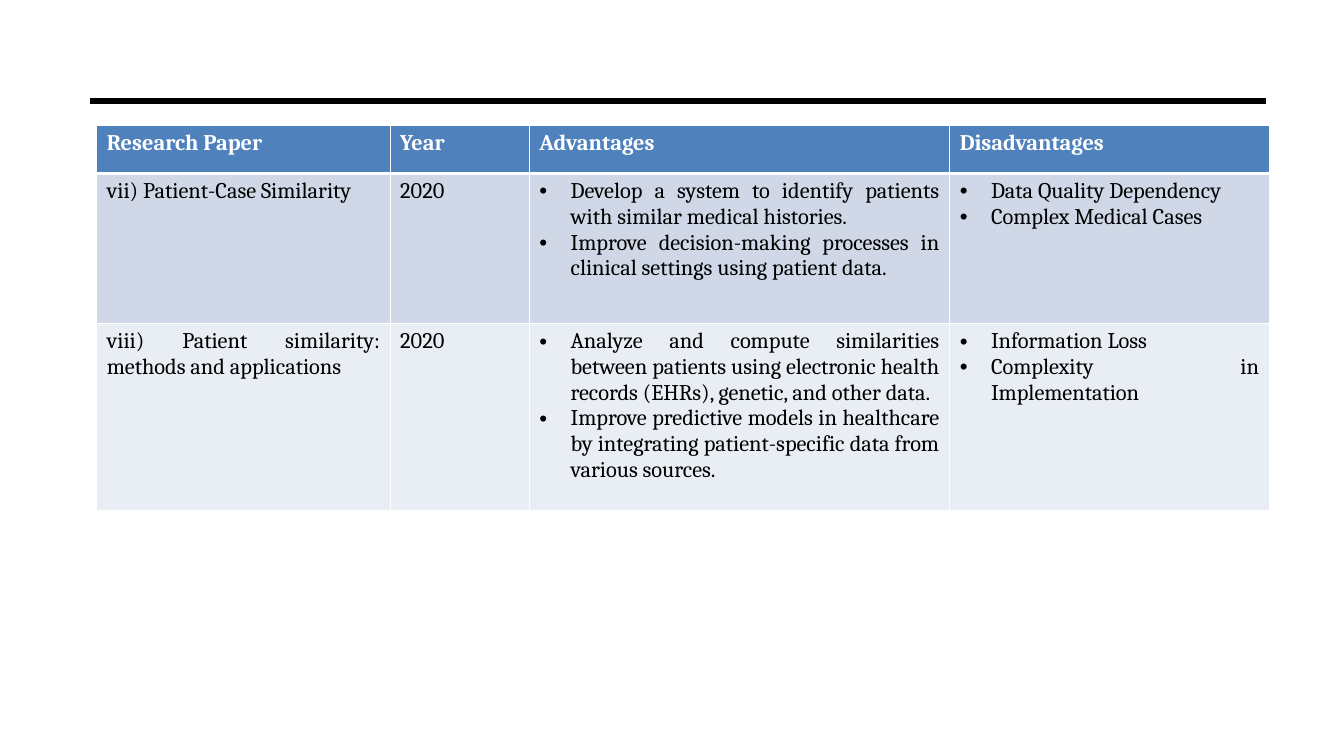
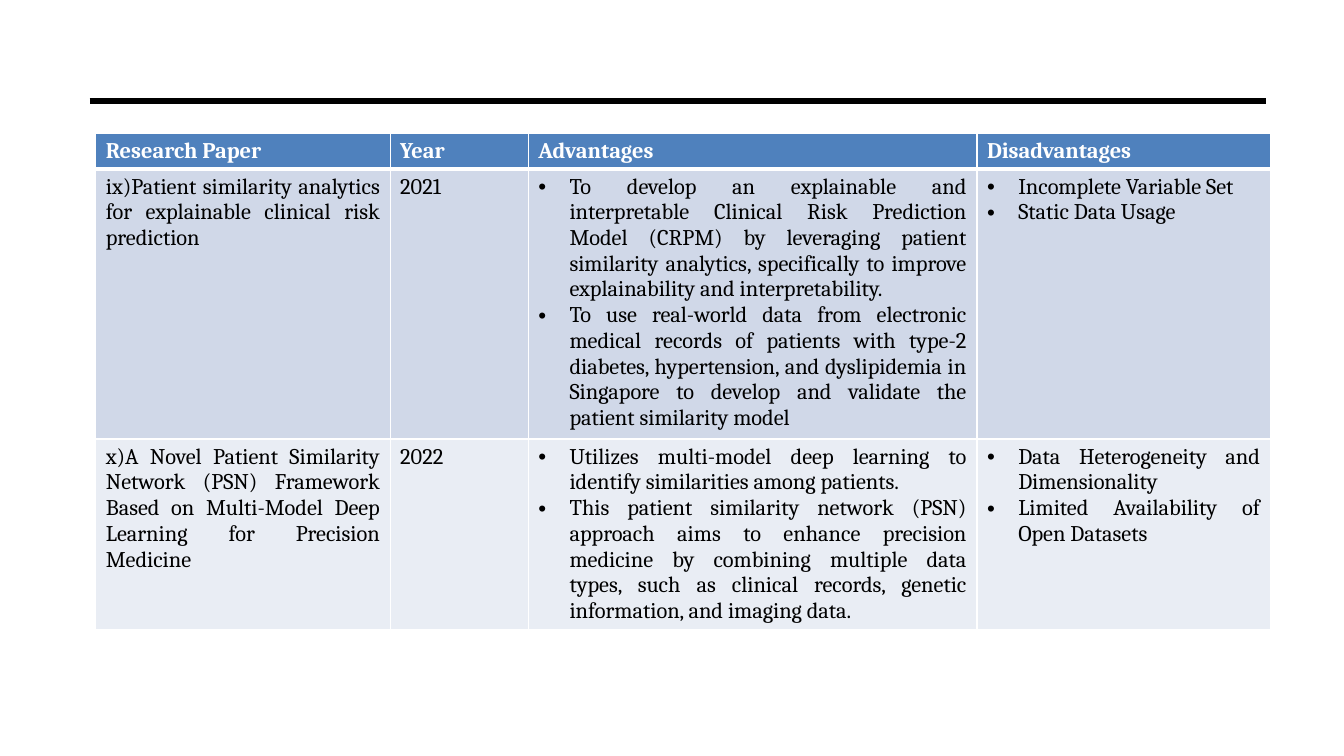
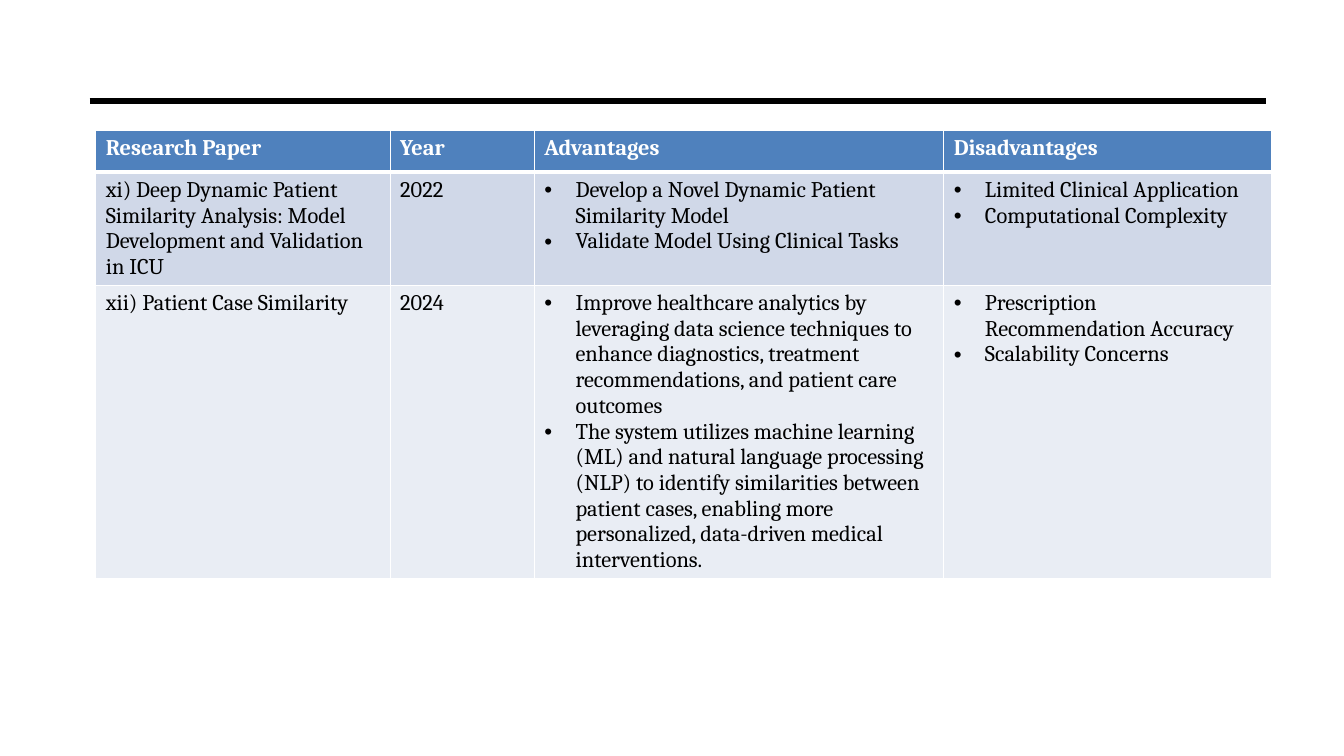
from dataclasses import dataclass

from lxml import etree
from pptx import Presentation
from pptx.dml.color import RGBColor
from pptx.enum.shapes import MSO_CONNECTOR
from pptx.enum.text import PP_ALIGN
from pptx.oxml.ns import qn
from pptx.slide import Slide
from pptx.table import _Cell
from pptx.text.text import _Paragraph
from pptx.util import Inches, Pt

STRAIGHT = MSO_CONNECTOR.STRAIGHT
JUSTIFY = PP_ALIGN.JUSTIFY
LEFT = PP_ALIGN.LEFT


@dataclass(frozen=True)
class Theme:
    font: str = "Cambria"
    text_size: float = 16
    rule_width: float = 4.5
    grid_width: float = 1
    header_line_width: float = 3
    ink: str = "000000"
    white: str = "FFFFFF"
    header: str = "4F81BD"
    bands: tuple[str, str] = ("D0D8E8", "E9EDF4")
    bullet_indent: float = 0.31


@dataclass(frozen=True)
class Paper:
    title: str
    year: str
    advantages: tuple[str, ...]
    disadvantages: tuple[str, ...]


@dataclass(frozen=True)
class Survey:
    left: float
    top: float
    columns: tuple[float, ...]
    rows: tuple[float, ...]
    alignment: PP_ALIGN
    papers: tuple[Paper, ...]


THEME = Theme()
HEADINGS = ("Research Paper", "Year", "Advantages", "Disadvantages")

SURVEYS = (
    Survey(
        0.96, 1.24, (2.91, 1.38, 4.17, 3.17), (0.48, 1.49, 1.86), JUSTIFY,
        (
            Paper(
                "vii) Patient-Case Similarity",
                "2020",
                (
                    "Develop a system to identify patients with similar medical histories.",
                    "Improve decision-making processes in clinical settings using patient data.",
                ),
                ("Data Quality Dependency", "Complex Medical Cases"),
            ),
            Paper(
                "viii) Patient similarity: methods and applications",
                "2020",
                (
                    "Analyze and compute similarities between patients using electronic "
                    "health records (EHRs), genetic, and other data.",
                    "Improve predictive models in healthcare by integrating "
                    "patient-specific data from various sources.",
                ),
                ("Information Loss", "Complexity in Implementation"),
            ),
        ),
    ),
    Survey(
        0.95, 1.32, (2.92, 1.37, 4.45, 2.91), (0.35, 2.68, 1.88), JUSTIFY,
        (
            Paper(
                "ix)Patient similarity analytics for explainable clinical risk prediction",
                "2021",
                (
                    "To develop an explainable and interpretable Clinical Risk Prediction "
                    "Model (CRPM) by leveraging patient similarity analytics, specifically "
                    "to improve explainability and interpretability.",
                    "To use real-world data from electronic medical records of patients "
                    "with type-2 diabetes, hypertension, and dyslipidemia in Singapore to "
                    "develop and validate the patient similarity model",
                ),
                ("Incomplete Variable Set", "Static Data Usage"),
            ),
            Paper(
                "x)A Novel Patient Similarity Network (PSN) Framework Based on "
                "Multi-Model Deep Learning for Precision Medicine",
                "2022",
                (
                    "Utilizes multi-model deep learning to identify similarities among patients.",
                    "This patient similarity network (PSN) approach aims to enhance precision "
                    "medicine by combining multiple data types, such as clinical records, "
                    "genetic information, and imaging data.",
                ),
                (
                    "Data Heterogeneity and Dimensionality",
                    "Limited Availability of Open Datasets",
                ),
            ),
        ),
    ),
    Survey(
        0.95, 1.29, (2.92, 1.43, 4.06, 3.25), (0.42, 1.12, 2.9), LEFT,
        (
            Paper(
                "xi) Deep Dynamic Patient Similarity Analysis: Model Development "
                "and Validation in ICU",
                "2022",
                (
                    "Develop a Novel Dynamic Patient Similarity Model",
                    "Validate Model Using Clinical Tasks",
                ),
                ("Limited Clinical Application", "Computational Complexity"),
            ),
            Paper(
                "xii) Patient Case Similarity",
                "2024",
                (
                    "Improve healthcare analytics by leveraging data science techniques to "
                    "enhance diagnostics, treatment recommendations, and patient care outcomes",
                    "The system utilizes machine learning (ML) and natural language "
                    "processing (NLP) to identify similarities between patient cases, "
                    "enabling more personalized, data-driven medical interventions.",
                ),
                ("Prescription Recommendation Accuracy", "Scalability Concerns"),
            ),
        ),
    ),
)


def draw_rule(slide: Slide) -> None:
    rule = slide.shapes.add_connector(
        STRAIGHT, Inches(0.89), Inches(1), Inches(12.56), Inches(1)
    )
    rule.line.color.rgb = RGBColor.from_string(THEME.ink)
    rule.line.width = Pt(THEME.rule_width)
    etree.SubElement(rule._element.spPr, qn("a:effectLst"))


def add_bullet(paragraph: _Paragraph) -> None:
    properties = paragraph._p.get_or_add_pPr()
    indent = Inches(THEME.bullet_indent)
    properties.set("marL", str(indent))
    properties.set("indent", str(-indent))
    etree.SubElement(properties, qn("a:buFont"), typeface="Arial")
    etree.SubElement(properties, qn("a:buChar"), char="•")


def set_borders(cell: _Cell, top: float, bottom: float) -> None:
    properties = cell._tc.get_or_add_tcPr()
    widths = {"lnL": THEME.grid_width, "lnR": THEME.grid_width, "lnT": top, "lnB": bottom}
    for side, width in widths.items():
        border = etree.SubElement(properties, qn(f"a:{side}"), w=str(Pt(width)))
        fill = etree.SubElement(border, qn("a:solidFill"))
        etree.SubElement(fill, qn("a:srgbClr"), val=THEME.white)


def fill_cell(
    cell: _Cell,
    lines: tuple[str, ...],
    fill: str,
    color: str,
    alignment: PP_ALIGN,
    bold: bool = False,
    bulleted: bool = False,
) -> None:
    cell.fill.solid()
    cell.fill.fore_color.rgb = RGBColor.from_string(fill)
    cell.text_frame.text = "\n".join(lines)
    for paragraph in cell.text_frame.paragraphs:
        paragraph.alignment = alignment
        if bulleted:
            add_bullet(paragraph)
        for run in paragraph.runs:
            run.font.name = THEME.font
            run.font.size = Pt(THEME.text_size)
            run.font.bold = bold
            run.font.color.rgb = RGBColor.from_string(color)


def draw_survey(slide: Slide, survey: Survey) -> None:
    table = slide.shapes.add_table(
        len(survey.rows), len(survey.columns),
        Inches(survey.left), Inches(survey.top),
        Inches(sum(survey.columns)), Inches(sum(survey.rows)),
    ).table
    table.horz_banding = False
    for column, width in zip(table.columns, survey.columns):
        column.width = Inches(width)
    for row, height in zip(table.rows, survey.rows):
        row.height = Inches(height)

    for cell, heading in zip(table.rows[0].cells, HEADINGS):
        set_borders(cell, THEME.grid_width, THEME.header_line_width)
        fill_cell(cell, (heading,), THEME.header, THEME.white, survey.alignment, bold=True)

    for index, (paper, band) in enumerate(zip(survey.papers, THEME.bands)):
        top = THEME.grid_width if index else THEME.header_line_width
        entries = (
            (paper.title,), (paper.year,), paper.advantages, paper.disadvantages
        )
        for cell, lines in zip(table.rows[index + 1].cells, entries):
            set_borders(cell, top, THEME.grid_width)
            fill_cell(
                cell, lines, band, THEME.ink, survey.alignment, bulleted=len(lines) > 1
            )


def main() -> None:
    presentation = Presentation()
    presentation.slide_width = Inches(13.33)
    presentation.slide_height = Inches(7.5)
    blank = presentation.slide_layouts[6]
    for survey in SURVEYS:
        slide = presentation.slides.add_slide(blank)
        draw_rule(slide)
        draw_survey(slide, survey)
    presentation.save("out.pptx")


if __name__ == "__main__":
    main()
